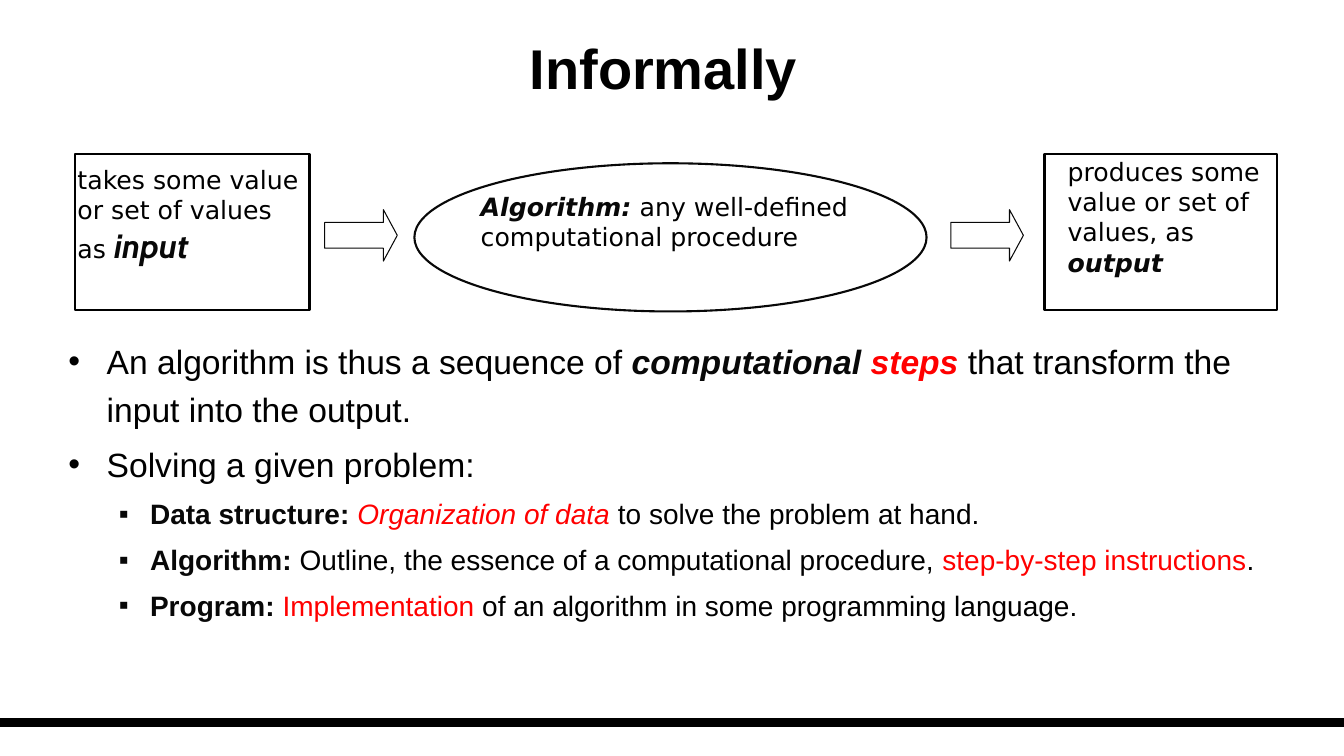
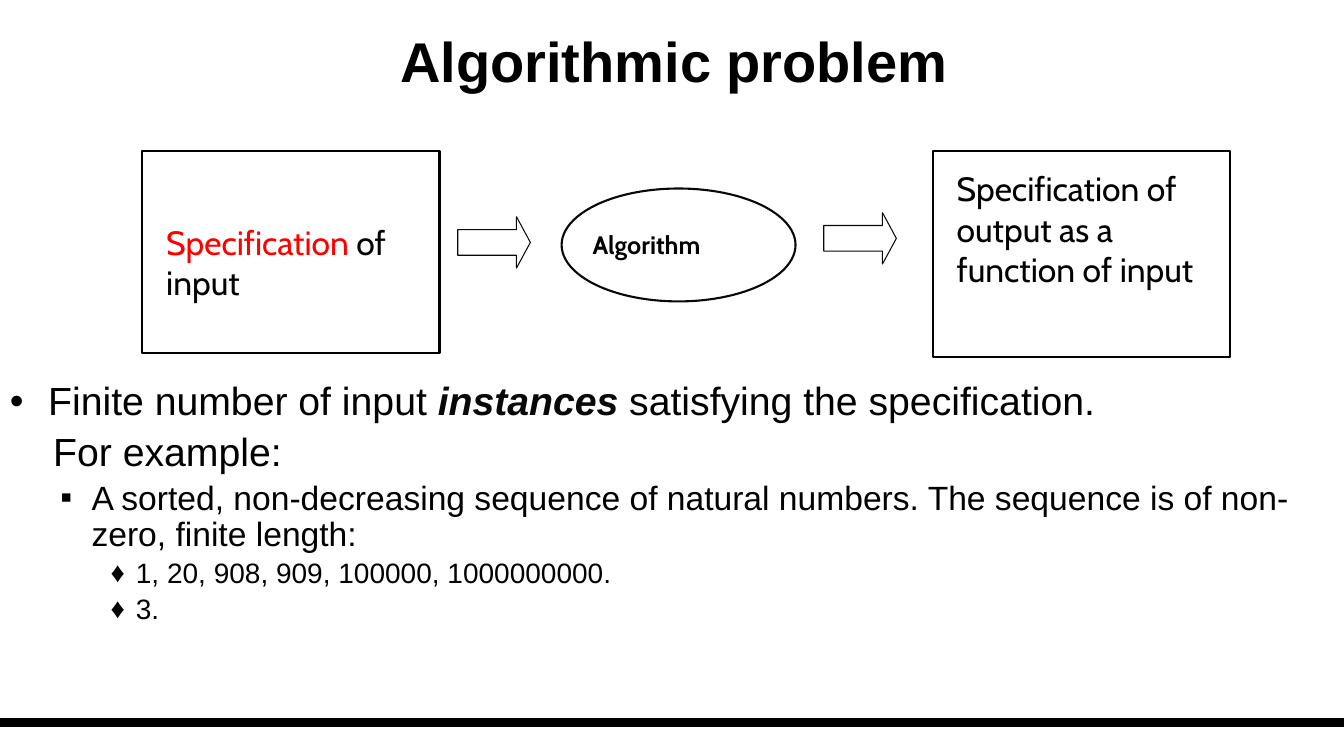
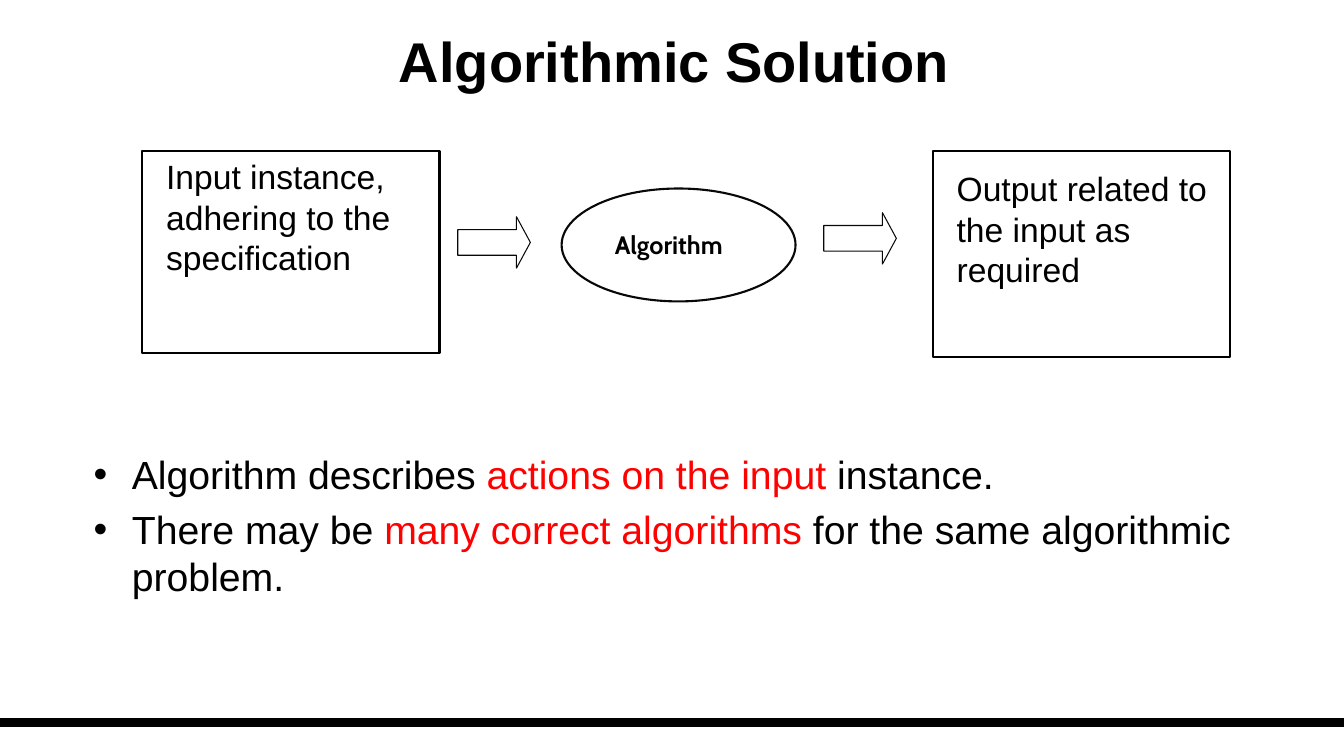
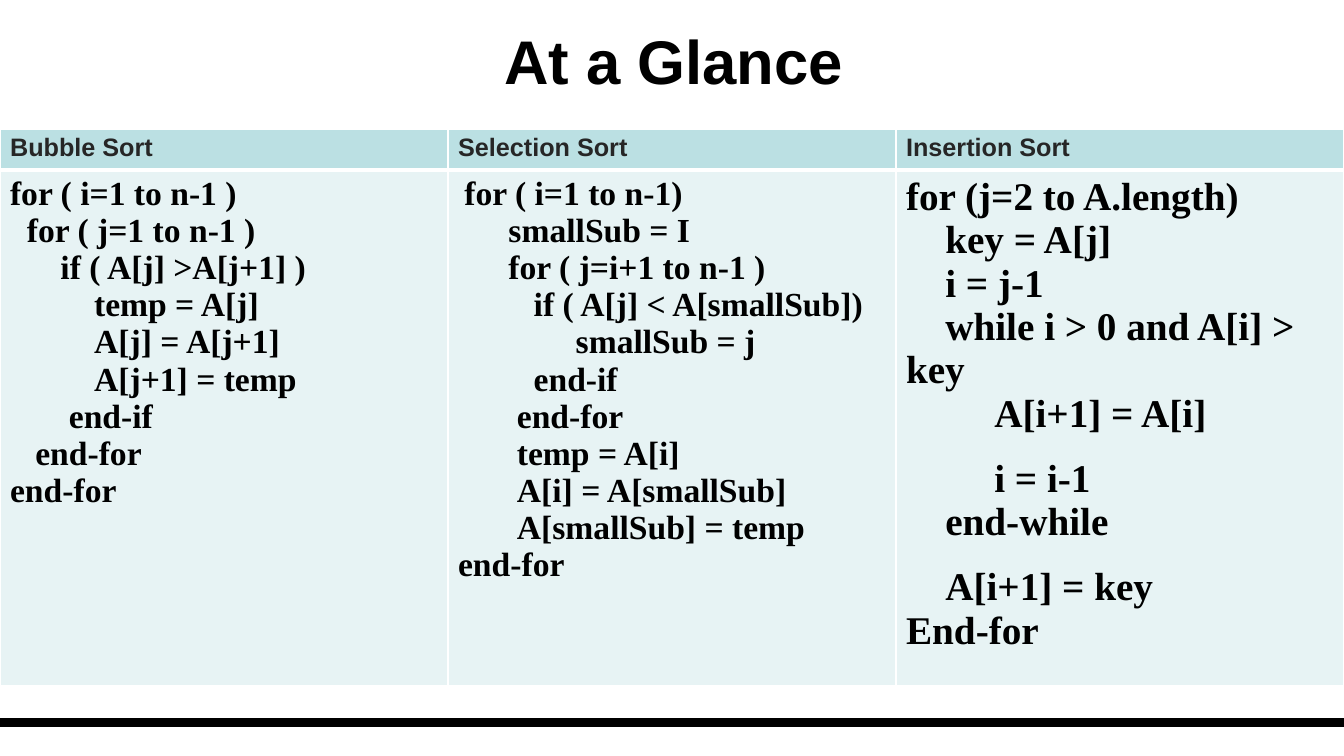
from lxml.etree import SubElement
from pptx import Presentation
from pptx.dml.color import RGBColor
from pptx.enum.shapes import MSO_CONNECTOR as CONNECTOR, MSO_SHAPE as SHAPE
from pptx.enum.text import MSO_ANCHOR as ANCHOR, PP_ALIGN as ALIGN
from pptx.oxml.ns import qn
from pptx.util import Inches, Pt

BLACK, DARK, RED, WHITE = "000000", "080808", "FF0000", "FFFFFF"
HEADER_TEXT, HEADER_FILL, BODY_FILL = "262626", "BBE0E3", "E7F3F4"
SANS, WIDE, ROUND, SERIF = "Arial", "DejaVu Sans", "Cabin", "Times New Roman"
PAGE_WIDTH, PAGE_HEIGHT = 13.33, 7.5
TITLE_AREA = (0.04, 0.02, 13.29, 1.15)
BULLET_INDENTS = {"•": (0.38, -0.38), "▪": (0.81, -0.31), "♦": (1.25, -0.25), None: (0.43, 0)}

HOT = {"color": RED}
STRONG = {"color": DARK, "bold": True}
ACCENT = {"color": DARK, "bold": True, "italic": True}


def rgb(value):
    return RGBColor.from_string(value)


def area(*lengths):
    return [Inches(length) for length in lengths]


def add_span(para, text, size, font=SANS, color=BLACK, bold=False, italic=False):
    span = para.add_run()
    span.text = text
    span.font.name = font
    span.font.size = Pt(size)
    span.font.bold = bold
    span.font.italic = italic
    span.font.color.rgb = rgb(color)


def add_spans(para, spans, size, font=SANS):
    for span in spans:
        text, style = (span, {}) if isinstance(span, str) else span
        add_span(para, text, **{"size": size, "font": font, **style})


def next_para(frame, index):
    return frame.add_paragraph() if index else frame.paragraphs[0]


def set_indent(para, margin, first_line):
    properties = para._p.get_or_add_pPr()
    properties.set("marL", str(Inches(margin)))
    properties.set("indent", str(Inches(first_line)))
    return properties


def add_text(page, place, spans, size, font=SANS, wrap=True):
    box = page.shapes.add_textbox(*area(*place))
    box.text_frame.word_wrap = wrap
    add_spans(box.text_frame.paragraphs[0], spans, size, font)


def add_bullets(page, place, items, line_spacing):
    box = page.shapes.add_textbox(*area(*place))
    box.text_frame.word_wrap = True
    for index, (mark, size, spans) in enumerate(items):
        para = next_para(box.text_frame, index)
        para.line_spacing = line_spacing
        para.space_before = Pt(0.2 * size)
        properties = set_indent(para, *BULLET_INDENTS[mark])
        if mark:
            SubElement(properties, qn("a:buFont"), typeface=SANS)
            SubElement(properties, qn("a:buChar"), char=mark)
        add_spans(para, spans, size)


def add_outline(page, kind, place, color=BLACK, width=1.5):
    shape = page.shapes.add_shape(kind, *area(*place))
    shape.shadow.inherit = False
    shape.fill.background()
    shape.line.color.rgb = rgb(color)
    shape.line.width = Pt(width)
    return shape


def add_arrow(page, left, top):
    arrow = add_outline(page, SHAPE.RIGHT_ARROW, (left, top, 0.72, 0.51), DARK, 0.75)
    arrow.adjustments[0] = 0.5
    arrow.adjustments[1] = 0.27


def add_page(deck, title, place=TITLE_AREA, size=40):
    page = deck.slides.add_slide(deck.slide_layouts[5])
    heading = page.shapes.title
    heading.left, heading.top, heading.width, heading.height = area(*place)
    heading.text_frame.vertical_anchor = ANCHOR.MIDDLE
    para = heading.text_frame.paragraphs[0]
    para.alignment = ALIGN.CENTER
    add_span(para, title, size, bold=True)
    return page


def add_master_rule(deck, page):
    rule = page.shapes.add_connector(CONNECTOR.STRAIGHT, *area(0, 7.17, PAGE_WIDTH, 7.17))
    rule.line.color.rgb = rgb(BLACK)
    rule.line.width = Pt(6)
    SubElement(rule.element.spPr, qn("a:effectLst"))
    rule.element.nvCxnSpPr.cNvPr.set("id", "20")
    deck.slide_master.shapes.element.append(rule.element)


def add_problem_diagram(page, label_left):
    add_text(page, (label_left, 2.23, 1.46, 0.4), [("Algorithm", {"bold": True})], 18, ROUND, wrap=False)
    add_outline(page, SHAPE.RECTANGLE, (1.41, 1.5, 2.95, 2))
    add_arrow(page, 4.54, 2.15)
    add_outline(page, SHAPE.OVAL, (5.57, 1.87, 2.32, 1.12), DARK)
    add_arrow(page, 8.17, 2.11)
    add_outline(page, SHAPE.RECTANGLE, (9.25, 1.5, 2.95, 2.04))


def style_cell(cell, fill, bottom=1):
    properties = cell._tc.get_or_add_tcPr()
    for side, width in (("L", 1), ("R", 1), ("T", 1), ("B", bottom)):
        border = SubElement(properties, qn(f"a:ln{side}"), w=str(Pt(width)))
        paint = SubElement(border, qn("a:solidFill"))
        SubElement(paint, qn("a:srgbClr"), val=WHITE)
    cell.fill.solid()
    cell.fill.fore_color.rgb = rgb(fill)


def add_code(frame, lines, size):
    for index, (depth, text, *spacing) in enumerate(lines):
        para = next_para(frame, index)
        set_indent(para, 0, depth * size / 288)
        if spacing:
            para.line_spacing = spacing[0]
        add_span(para, text, size, SERIF, bold=True)


def add_code_table(page, columns):
    table = page.shapes.add_table(2, len(columns), *area(0, 1.28, PAGE_WIDTH, 5.52)).table
    table.rows[0].height, table.rows[1].height = area(0.41, 5.11)
    for index, (name, size, lines) in enumerate(columns):
        header, body = table.cell(0, index), table.cell(1, index)
        style_cell(header, HEADER_FILL, bottom=3)
        style_cell(body, BODY_FILL)
        add_span(header.text_frame.paragraphs[0], name, 18, color=HEADER_TEXT, bold=True)
        add_code(body.text_frame, lines, size)


def build_informally(deck):
    page = add_page(deck, "Informally", (0.33, 0.25, 12.5, 0.83))
    add_master_rule(deck, page)
    add_bullets(page, (0.58, 3.25, 12.08, 3.75), [
        ("•", 24, ["An algorithm is thus a sequence of ", ("computational ", ACCENT),
                   ("steps", {**ACCENT, **HOT}), " that transform the input into the output."]),
        ("•", 24, ["Solving a given problem:"]),
        ("▪", 20, [("Data structure: ", STRONG), ("Organization of data ", {**HOT, "italic": True}),
                   "to solve the problem at hand."]),
        ("▪", 20, [("Algorithm:", STRONG), " Outline, the essence of a computational procedure, ",
                   ("step-by-step instructions", HOT), "."]),
        ("▪", 20, [("Program: ", STRONG), ("Implementation", HOT),
                   " of an algorithm in some programming language."]),
    ], 1.2)
    add_outline(page, SHAPE.RECTANGLE, (0.74, 1.53, 2.33, 1.55))
    add_text(page, (0.67, 1.58, 2.4, 1.11), [
        "takes some value or set of values as ",
        ("input", {**ACCENT, "size": 24, "font": ROUND})], 18, WIDE)
    add_outline(page, SHAPE.RECTANGLE, (10.36, 1.53, 2.31, 1.55))
    add_text(page, (10.49, 1.5, 2.29, 1.31), [
        "produces some value or set of values, as ", ("output", ACCENT)], 18, WIDE)
    add_text(page, (4.67, 1.85, 4, 0.71), [
        ("Algorithm:", ACCENT), " any well-defined computational procedure"], 18, WIDE)
    for left in (3.22, 9.43):
        add_arrow(page, left, 2.08)
    add_outline(page, SHAPE.OVAL, (4.11, 1.62, 5.08, 1.47), DARK)


def build_problem(deck):
    page = add_page(deck, "Algorithmic problem")
    add_bullets(page, (0, 3.74, 13.1, 3.19), [
        ("•", 28, ["Finite number of input ", ("instances", ACCENT), " satisfying the specification."]),
        (None, 28, ["For example:"]),
        ("▪", 24, ["A sorted, non-decreasing sequence of natural numbers. "
                   "The sequence is of non-zero, finite length:"]),
        ("♦", 20, ["1, 20, 908, 909, 100000, 1000000000."]),
        ("♦", 20, ["3."]),
    ], 0.9)
    add_problem_diagram(page, 5.78)
    add_text(page, (1.55, 2.15, 2.83, 0.91), [("Specification", HOT), " of input"], 24, ROUND)
    add_text(page, (9.39, 1.62, 2.83, 1.31), ["Specification of output as a function of input"], 24, ROUND)


def build_solution(deck):
    page = add_page(deck, "Algorithmic Solution")
    add_problem_diagram(page, 6)
    add_text(page, (1.55, 1.5, 2.83, 1.72), ["Input instance, adhering to the specification"], 24)
    add_text(page, (9.39, 1.62, 2.83, 1.31), ["Output related to the input as required"], 24)
    add_bullets(page, (0.83, 4.42, 12.17, 2.08), [
        ("•", 28, ["Algorithm describes ", ("actions on the input ", HOT), "instance."]),
        ("•", 28, ["There may be ", ("many correct algorithms ", HOT),
                   "for the same algorithmic problem."]),
    ], 1.0)


def build_glance(deck):
    page = add_page(deck, "At a Glance", size=44)
    add_code_table(page, [
        ("Bubble Sort", 24, [
            (0, "for ( i=1 to n-1 )"),
            (2, "for ( j=1 to n-1 )"),
            (6, "if ( A[j] >A[j+1] )"),
            (10, "temp = A[j]"),
            (10, "A[j] = A[j+1]"),
            (10, "A[j+1] = temp"),
            (7, "end-if"),
            (3, "end-for"),
            (0, "end-for"),
        ]),
        ("Selection Sort", 24, [
            (0.75, "for ( i=1 to n-1)"),
            (6, "smallSub = I"),
            (6, "for ( j=i+1 to n-1 )"),
            (9, "if ( A[j] < A[smallSub])"),
            (14, "smallSub = j"),
            (9, "end-if"),
            (7, "end-for"),
            (7, "temp = A[i]"),
            (7, "A[i] = A[smallSub]"),
            (7, "A[smallSub] = temp"),
            (0, "end-for"),
        ]),
        ("Insertion Sort", 28, [
            (0, "for (j=2 to A.length)"),
            (4, "key = A[j]"),
            (4, "i = j-1"),
            (4, "while i > 0 and A[i] > key"),
            (9, "A[i+1] = A[i]"),
            (9, "i = i-1", 1.5),
            (4, "end-while"),
            (4, "A[i+1] = key", 1.5),
            (0, "End-for"),
        ]),
    ])


def main():
    deck = Presentation()
    deck.slide_width, deck.slide_height = area(PAGE_WIDTH, PAGE_HEIGHT)
    for build in (build_informally, build_problem, build_solution, build_glance):
        build(deck)
    deck.save("out.pptx")


if __name__ == "__main__":
    main()
